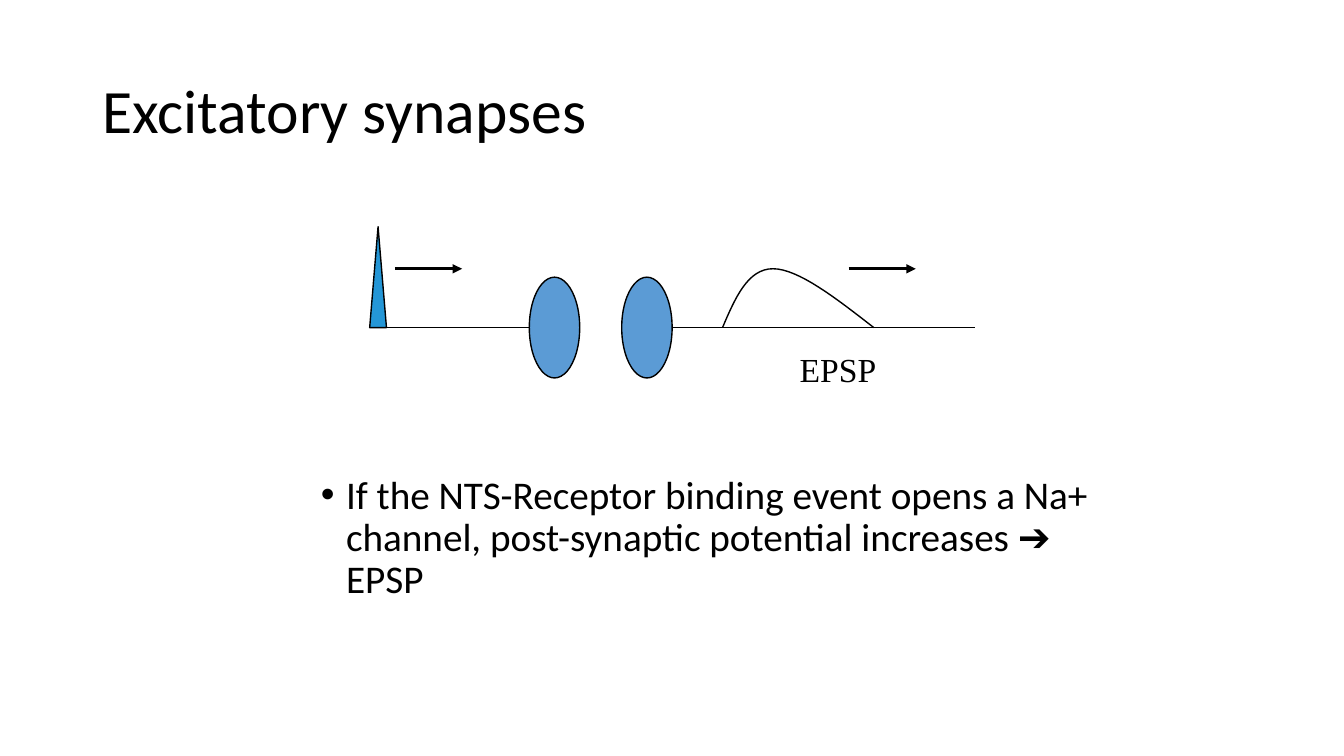
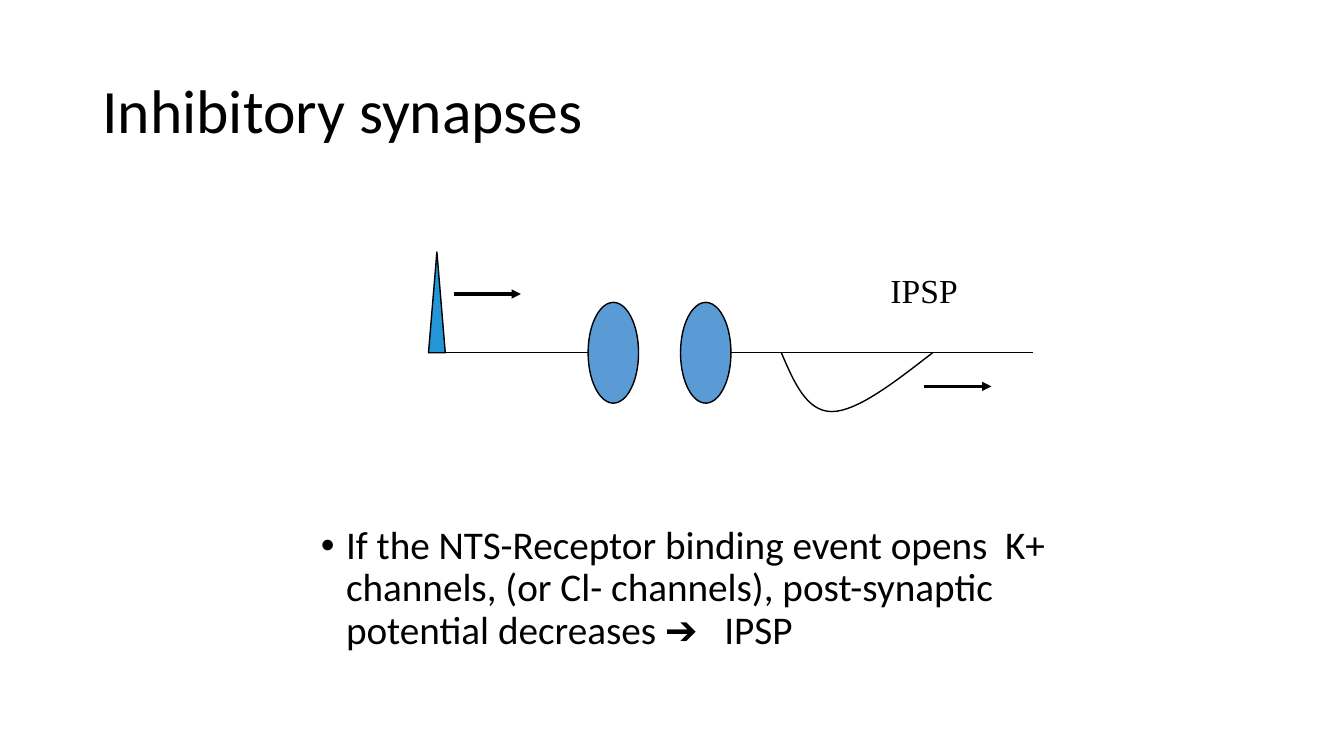
from dataclasses import dataclass
from typing import Any

from lxml import etree
from pptx import Presentation
from pptx.dml.color import RGBColor
from pptx.enum.shapes import MSO_CONNECTOR, MSO_SHAPE
from pptx.enum.text import MSO_ANCHOR
from pptx.oxml.ns import qn
from pptx.util import Emu, Inches, Pt

STRAIGHT = MSO_CONNECTOR.STRAIGHT
OVAL, TRIANGLE = MSO_SHAPE.OVAL, MSO_SHAPE.ISOSCELES_TRIANGLE
TOP, MIDDLE = MSO_ANCHOR.TOP, MSO_ANCHOR.MIDDLE

SLIDE_WIDTH, SLIDE_HEIGHT = Inches(13.33), Inches(7.5)
CELL = Inches(1 / 12)  # all positions count cells of this grid
CURVE_STEPS = 16


@dataclass(frozen=True)
class TextStyle:
    font: str
    size: int
    paragraph: dict[str, Any]
    anchor: Any = TOP
    wrap: bool = True
    bullet: str = ""


@dataclass(frozen=True)
class Theme:
    ink: RGBColor = RGBColor(0x00, 0x00, 0x00)
    bulb: RGBColor = RGBColor(0x5B, 0x9B, 0xD5)
    spike: RGBColor = RGBColor(0x24, 0x96, 0xD6)
    thin: float = 1
    thick: float = 2.25
    title: TextStyle = TextStyle("Calibri", 44, {"line_spacing": 0.9}, MIDDLE)
    body: TextStyle = TextStyle(
        "Calibri", 28, {"line_spacing": 0.9, "space_before": Pt(10)}, bullet="•")
    label: TextStyle = TextStyle("Times New Roman", 24, {}, wrap=False)


@dataclass(frozen=True)
class Box:
    column: float
    row: float
    columns: float
    rows: float

    def emu(self) -> tuple[Emu, ...]:
        return tuple(cells(n) for n in (self.column, self.row, self.columns, self.rows))


@dataclass(frozen=True)
class Synapse:
    """Places in the diagram are relative to the spike's foot on the baseline."""
    title: str
    explanation: str
    explanation_row: int
    column: int
    baseline: int
    direction: int  # -1 raises the potential, 1 lowers it
    response_arrow: tuple[int, int]
    label: str
    label_box: Box


THEME = Theme()
TITLE_BOX = Box(11, 4.8, 138, 17.4)
BULB_COLUMNS, BULB_WIDTH, BULB_HEIGHT = (19, 30), 6, 12
FIBRES = ((0, 19), (36, 72))
SPIKE_WIDTH, SPIKE_HEIGHT = 2, 12
ARROW_LENGTH, SPIKE_ARROW = 8, (3, -7)
# Control points of the potential's two Bezier arcs: column, height
POTENTIAL_ARCS = (
    ((42, 0), (43.5, 3.5), (45, 7), (48, 7)),
    ((48, 7), (51, 7), (55.5, 3.5), (60, 0)),
)

SYNAPSES = (
    Synapse("Excitatory synapses",
            "If the NTS-Receptor binding event opens a Na+ channel, "
            "post-synaptic potential increases ➔   EPSP",
            56, 44, 39, -1, (57, -7), "EPSP", Box(50, 2, 11.5, 6)),
    Synapse("Inhibitory synapses",
            "If the NTS-Receptor binding event opens  K+ channels, "
            "(or Cl- channels), post-synaptic potential decreases ➔   IPSP",
            62, 51, 42, 1, (59, 4), "IPSP", Box(53.8, -10.5, 10.4, 6)),
)


def cells(count: float) -> Emu:
    return Emu(round(count * CELL))


def apply(target: Any, values: dict[str, Any]) -> None:
    for attribute, value in values.items():
        setattr(target, attribute, value)


def add_text(shapes: Any, box: Box, text: str, style: TextStyle) -> None:
    frame = shapes.add_textbox(*box.emu()).text_frame
    apply(frame, {"word_wrap": style.wrap, "vertical_anchor": style.anchor})
    paragraph = frame.paragraphs[0]
    apply(paragraph, style.paragraph)
    run = paragraph.add_run()
    run.text = text
    apply(run.font, {"name": style.font, "size": Pt(style.size)})
    run.font.color.rgb = THEME.ink
    if style.bullet:
        properties = paragraph._p.get_or_add_pPr()
        hang = Inches(0.25)
        properties.set("marL", str(hang))
        properties.set("indent", str(-hang))
        etree.SubElement(properties, qn("a:buFont"), typeface="Arial")
        etree.SubElement(properties, qn("a:buChar"), char=style.bullet)


def outline(shape: Any, width: float) -> None:
    shape.line.color.rgb = THEME.ink
    shape.line.width = Pt(width)


def add_line(shapes: Any, column: float, row: float, length: float,
             arrow: bool = False) -> None:
    line = shapes.add_connector(
        STRAIGHT, cells(column), cells(row), cells(column + length), cells(row))
    outline(line, THEME.thick if arrow else THEME.thin)
    properties = line._element.spPr
    if arrow:
        etree.SubElement(properties.find(qn("a:ln")), qn("a:tailEnd"), type="triangle")
    etree.SubElement(properties, qn("a:effectLst"))


def add_solid(shapes: Any, kind: Any, box: Box, colour: RGBColor) -> None:
    solid = shapes.add_shape(kind, *box.emu())
    solid.shadow.inherit = False
    solid.fill.solid()
    solid.fill.fore_color.rgb = colour
    outline(solid, THEME.thin)


def bezier(controls: tuple, t: float) -> tuple[float, ...]:
    weights = ((1 - t) ** 3, 3 * t * (1 - t) ** 2, 3 * t ** 2 * (1 - t), t ** 3)
    return tuple(sum(w * c for w, c in zip(weights, axis)) for axis in zip(*controls))


def add_potential(shapes: Any, synapse: Synapse) -> None:
    steps = [(0, 0)] + [(arc, step / CURVE_STEPS) for arc in range(len(POTENTIAL_ARCS))
                        for step in range(1, CURVE_STEPS + 1)]
    points = [bezier(POTENTIAL_ARCS[arc], t) for arc, t in steps]
    start, *rest = [(cells(synapse.column + x),
                     cells(synapse.baseline + synapse.direction * y)) for x, y in points]
    builder = shapes.build_freeform(*start)
    builder.add_line_segments(rest, close=False)
    curve = builder.convert_to_shape()
    curve.shadow.inherit = False
    curve.fill.background()
    outline(curve, THEME.thin)


def add_diagram(slide: Any, synapse: Synapse) -> None:
    shapes = slide.shapes.add_group_shape().shapes
    left, base = synapse.column, synapse.baseline
    for start, end in FIBRES:
        add_line(shapes, left + start, base, end - start)
    for column in BULB_COLUMNS:
        add_solid(shapes, OVAL, Box(left + column, base - BULB_HEIGHT / 2,
                                    BULB_WIDTH, BULB_HEIGHT), THEME.bulb)
    add_solid(shapes, TRIANGLE, Box(left, base - SPIKE_HEIGHT,
                                    SPIKE_WIDTH, SPIKE_HEIGHT), THEME.spike)
    add_potential(shapes, synapse)
    for column, row in (SPIKE_ARROW, synapse.response_arrow):
        add_line(shapes, left + column, base + row, ARROW_LENGTH, arrow=True)
    place = synapse.label_box
    add_text(shapes, Box(left + place.column, base + place.row,
                         place.columns, place.rows), synapse.label, THEME.label)


def main() -> None:
    deck = Presentation()
    apply(deck, {"slide_width": SLIDE_WIDTH, "slide_height": SLIDE_HEIGHT})
    blank = deck.slide_layouts[6]
    for synapse in SYNAPSES:
        slide = deck.slides.add_slide(blank)
        add_text(slide.shapes, TITLE_BOX, synapse.title, THEME.title)
        add_text(slide.shapes, Box(37, synapse.explanation_row, 100, 20),
                 synapse.explanation, THEME.body)
        add_diagram(slide, synapse)
    deck.save("out.pptx")


if __name__ == "__main__":
    main()
